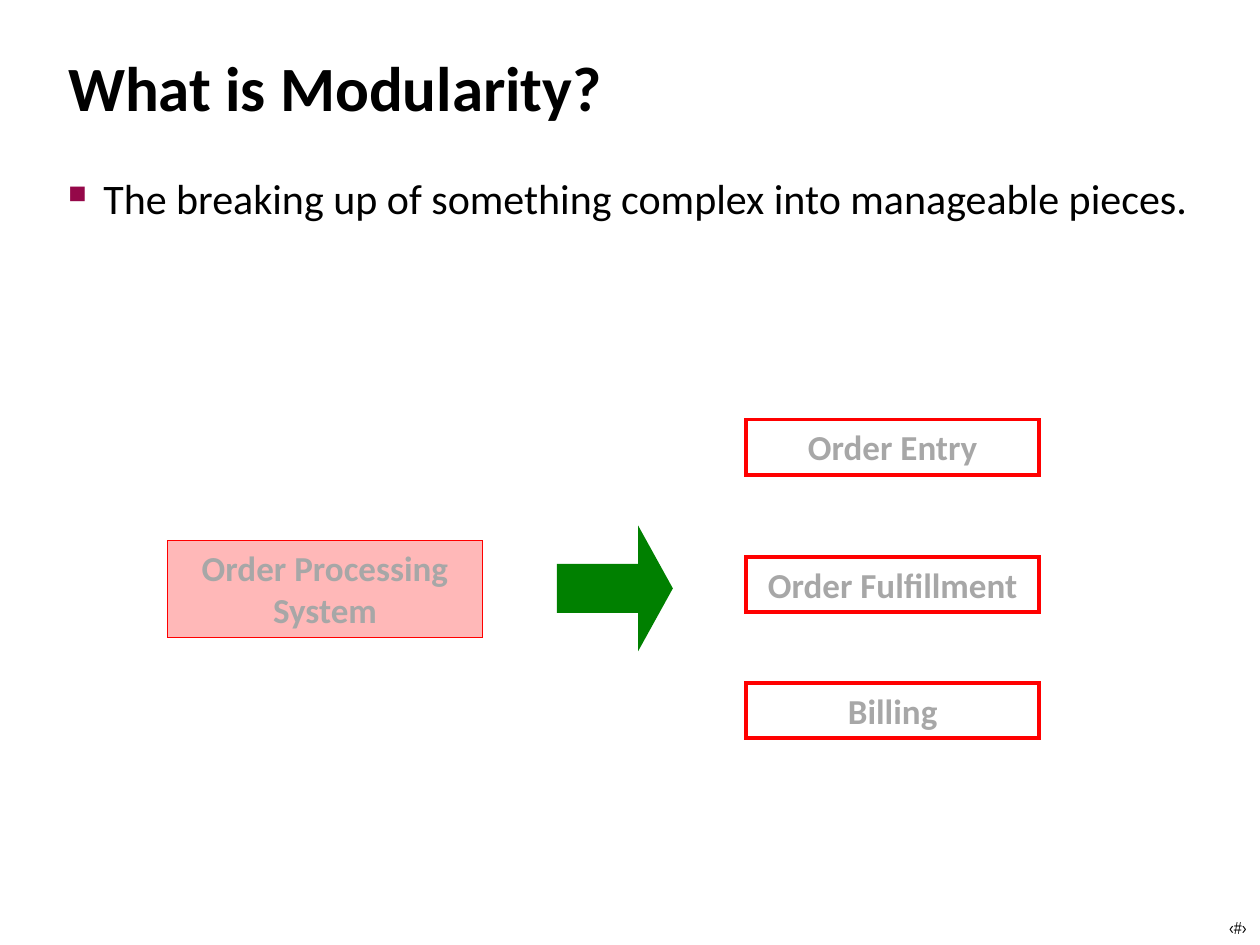
from lxml import etree
from pptx import Presentation
from pptx.dml.color import RGBColor
from pptx.enum.shapes import MSO_SHAPE
from pptx.enum.text import MSO_ANCHOR, PP_ALIGN
from pptx.oxml.ns import qn
from pptx.util import Inches, Pt

RECTANGLE = MSO_SHAPE.RECTANGLE
RIGHT_ARROW = MSO_SHAPE.RIGHT_ARROW
LEFT, CENTER = PP_ALIGN.LEFT, PP_ALIGN.CENTER
TOP, MIDDLE = MSO_ANCHOR.TOP, MSO_ANCHOR.MIDDLE

BLACK = RGBColor(0x00, 0x00, 0x00)
GRAY = RGBColor(0xA7, 0xA7, 0xA7)
RED = RGBColor(0xFF, 0x00, 0x00)
PINK = RGBColor(0xFF, 0xB8, 0xB8)
GREEN = RGBColor(0x00, 0x80, 0x00)
PLUM = RGBColor(0x95, 0x08, 0x49)


def write_text(shape, text, size, color, bold=False, alignment=LEFT,
               anchor=TOP, margin=0.04, wrap=True, font="Calibri"):
    frame = shape.text_frame
    frame.word_wrap = wrap
    frame.vertical_anchor = anchor
    frame.margin_left = frame.margin_right = Inches(margin)
    frame.margin_top = frame.margin_bottom = Inches(margin)
    paragraph = frame.paragraphs[0]
    paragraph.text = text
    paragraph.alignment = alignment
    paragraph.font.name = font
    paragraph.font.size = Pt(size)
    paragraph.font.bold = bold
    paragraph.font.color.rgb = color
    return paragraph


presentation = Presentation()
presentation.slide_width = Inches(10)
presentation.slide_height = Inches(7.5)
slide = presentation.slides.add_slide(presentation.slide_layouts[5])
shapes = slide.shapes

title = shapes.title
title.left, title.top = Inches(0.5), Inches(0.03)
title.width, title.height = Inches(9.08), Inches(1.31)
write_text(title, "What is Modularity?", 36, BLACK, bold=True, anchor=MIDDLE)

body = shapes.add_textbox(Inches(0.5), Inches(1.33), Inches(9.08), Inches(6.17))
definition = write_text(
    body, "The breaking up of something complex into manageable pieces.", 24, BLACK)
definition.space_before = Pt(6)
properties = definition._p.get_or_add_pPr()
properties.set("marL", str(Inches(0.28)))
properties.set("indent", str(Inches(-0.28)))
bullet_color = etree.Element(qn("a:buClr"))
etree.SubElement(bullet_color, qn("a:srgbClr"), val=str(PLUM))
bullet_size = etree.Element(qn("a:buSzPct"), val="60000")
bullet_font = etree.Element(qn("a:buFont"), typeface="Wingdings",
                            pitchFamily="2", charset="2")
bullet_character = etree.Element(qn("a:buChar"), char="n")
bullet = (bullet_color, bullet_size, bullet_font, bullet_character)
for position, element in enumerate(bullet, 1):
    properties.insert(position, element)

boxes = [
    ("Order Processing System", 1.33, 4.29, 2.5, 0.77, PINK, 1),
    ("Order Entry", 5.92, 3.33, 2.33, 0.44, None, 2.25),
    ("Order Fulfillment", 5.92, 4.42, 2.33, 0.44, None, 2.25),
    ("Billing", 5.92, 5.42, 2.33, 0.44, None, 2.25),
]
for text, left, top, width, height, fill, line_width in boxes:
    box = shapes.add_shape(RECTANGLE, Inches(left), Inches(top),
                           Inches(width), Inches(height))
    box.shadow.inherit = False
    if fill is None:
        box.fill.background()
    else:
        box.fill.solid()
        box.fill.fore_color.rgb = fill
    box.line.color.rgb = RED
    box.line.width = Pt(line_width)
    etree.SubElement(box.line._ln, qn("a:miter"), lim="800000")
    write_text(box, text, 20, GRAY, bold=True, alignment=CENTER, margin=0.05)

arrow = shapes.add_shape(RIGHT_ARROW, Inches(4.42), Inches(4.17),
                         Inches(0.92), Inches(1))
arrow.shadow.inherit = False
arrow.adjustments[0] = 0.39
arrow.adjustments[1] = 0.3
arrow.fill.solid()
arrow.fill.fore_color.rgb = GREEN
arrow.line.fill.background()

slide_number = shapes.add_textbox(Inches(9.7), Inches(7.23), Inches(0.25), Inches(0.25))
write_text(slide_number, "‹#›", 10, BLACK, alignment=CENTER, margin=0.05,
           wrap=False, font="Arial Narrow")

presentation.save("out.pptx")
